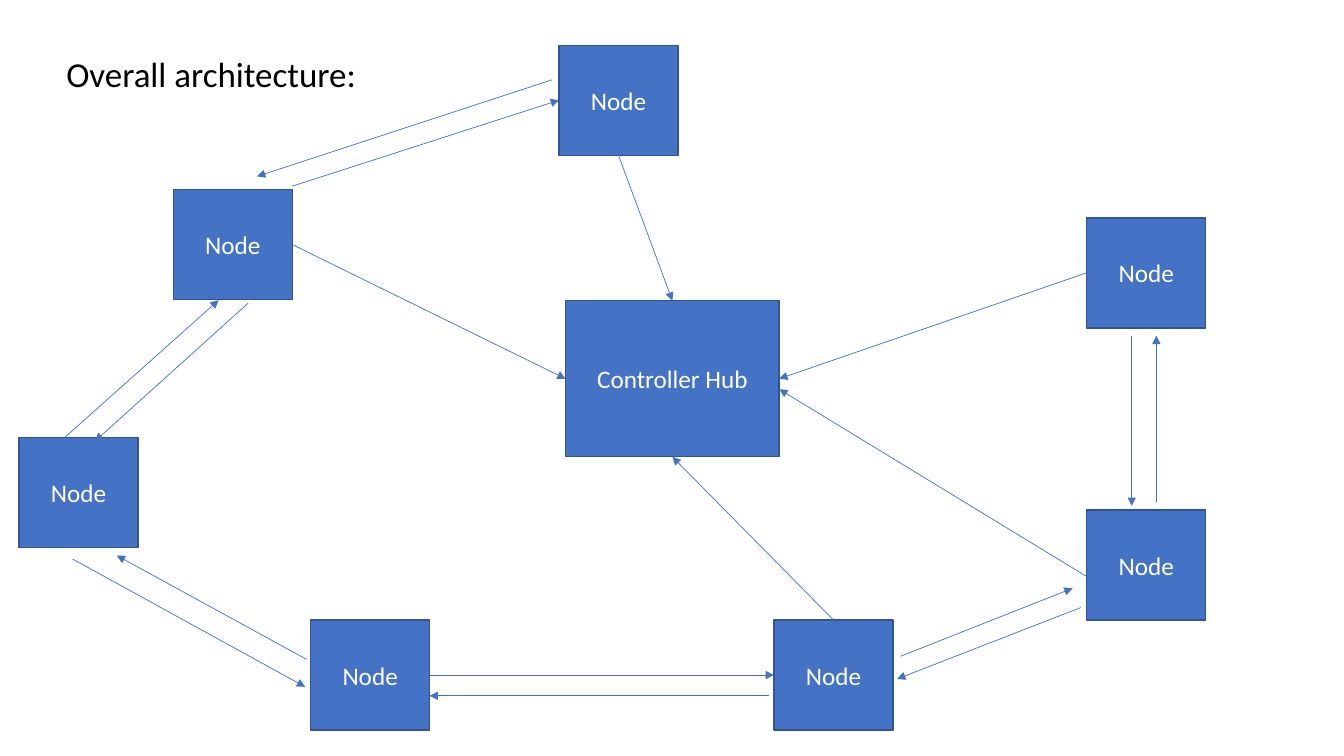
from dataclasses import dataclass
from typing import Any, Union

from lxml import etree
from pptx import Presentation
from pptx import util as u
from pptx.dml import color
from pptx.enum import shapes, text
from pptx.oxml import ns


@dataclass(frozen=True)
class Theme:
    font: str = "Calibri"
    fill: str = "4472C4"
    border: str = "325491"
    title_ink: str = "000000"
    box_ink: str = "FFFFFF"
    title_size: float = 25
    box_size: float = 18
    border_width: float = 1
    arrow_width: float = 0.5


@dataclass(frozen=True)
class Box:
    name: str
    x: float
    y: float
    label: str = "Node"
    w: float = 85
    h: float = 78.6


@dataclass(frozen=True)
class Point:
    x: float
    y: float


@dataclass(frozen=True)
class Side:
    box: str
    site: int


@dataclass(frozen=True)
class Arrow:
    start: Union[Point, Side]
    end: Union[Point, Side]


THEME = Theme()
TOP, LEFT, BOTTOM, RIGHT = range(4)

BOXES = [
    Box("hub", 404, 214.8, "Controller Hub", 152.6, 111.5),
    Box("east", 776.2, 155.6),
    Box("southeast", 776.2, 364.4),
    Box("south", 552.9, 442.9),
    Box("southwest", 221.9, 442.9),
    Box("west", 13.6, 312.4),
    Box("northwest", 123.8, 135.4),
    Box("north", 399.3, 32.3),
]

ARROWS = [
    Arrow(Point(46.4, 312.4), Point(156.2, 214.4)),
    Arrow(Point(52, 399.4), Point(218, 490.6)),
    Arrow(Side("northwest", RIGHT), Side("hub", LEFT)),
    Arrow(Point(208.8, 133), Side("north", LEFT)),
    Arrow(Side("north", BOTTOM), Side("hub", TOP)),
    Arrow(Side("southwest", RIGHT), Side("south", LEFT)),
    Arrow(Side("south", TOP), Side("hub", BOTTOM)),
    Arrow(Point(776.2, 411.8), Point(556.6, 278)),
    Arrow(Side("east", LEFT), Side("hub", RIGHT)),
    Arrow(Point(177.2, 216.6), Point(67.8, 315.2)),
    Arrow(Point(219, 471), Point(83.4, 396.8)),
    Arrow(Point(549.4, 497), Point(306.8, 497)),
    Arrow(Point(394.4, 57), Point(183.6, 126)),
    Arrow(Point(808.4, 239.8), Point(808.4, 361.4)),
    Arrow(Point(826, 358.6), Point(826, 239.8)),
    Arrow(Point(643.2, 468.8), Point(766.2, 420.2)),
    Arrow(Point(772, 434), Point(640.8, 485)),
]


def rgb(value: str) -> color.RGBColor:
    return color.RGBColor.from_string(value)


def apply(target: Any, values: dict[str, Any]) -> None:
    for name, value in values.items():
        setattr(target, name, value)


def write(sp: Any, words: str, size: float, ink: str,
          frame: dict[str, Any], align: text.PP_ALIGN) -> None:
    tf = sp.text_frame
    apply(tf, frame)
    p = tf.paragraphs[0]
    p.alignment = align
    r = p.add_run()
    r.text = words
    apply(r.font, {"name": THEME.font, "size": u.Pt(size)})
    r.font.color.rgb = rgb(ink)


def draw_title(s: Any) -> None:
    sp = s.shapes.add_textbox(u.Pt(40.3), u.Pt(33.8), u.Pt(224), u.Pt(37.4))
    frame = {"word_wrap": False, "auto_size": text.MSO_AUTO_SIZE.SHAPE_TO_FIT_TEXT}
    write(sp, "Overall architecture:", THEME.title_size, THEME.title_ink,
          frame, text.PP_ALIGN.LEFT)


def draw_box(s: Any, box: Box) -> Any:
    sp = s.shapes.add_shape(shapes.MSO_SHAPE.RECTANGLE, u.Pt(box.x), u.Pt(box.y),
                            u.Pt(box.w), u.Pt(box.h))
    sp.shadow.inherit = False
    sp.fill.solid()
    sp.fill.fore_color.rgb = rgb(THEME.fill)
    sp.line.color.rgb = rgb(THEME.border)
    sp.line.width = u.Pt(THEME.border_width)
    frame = {"word_wrap": True, "vertical_anchor": text.MSO_ANCHOR.MIDDLE}
    write(sp, box.label, THEME.box_size, THEME.box_ink, frame, text.PP_ALIGN.CENTER)
    return sp


def locate(end: Union[Point, Side], boxes: dict[str, Box]) -> Point:
    if isinstance(end, Point):
        return end
    box = boxes[end.box]
    dx, dy = [(0.5, 0), (0, 0.5), (0.5, 1), (1, 0.5)][end.site]
    return Point(box.x + dx * box.w, box.y + dy * box.h)


def draw_arrow(s: Any, arrow: Arrow, boxes: dict[str, Box], drawn: dict[str, Any]) -> None:
    a, b = locate(arrow.start, boxes), locate(arrow.end, boxes)
    cxn = s.shapes.add_connector(shapes.MSO_CONNECTOR.STRAIGHT,
                                 u.Pt(a.x), u.Pt(a.y), u.Pt(b.x), u.Pt(b.y))
    for end, connect in ((arrow.start, cxn.begin_connect), (arrow.end, cxn.end_connect)):
        if isinstance(end, Side):
            connect(drawn[end.box], end.site)
    cxn.line.color.rgb = rgb(THEME.fill)
    cxn.line.width = u.Pt(THEME.arrow_width)
    sp_pr = cxn._element.spPr
    etree.SubElement(sp_pr.find(ns.qn("a:ln")), ns.qn("a:tailEnd"), type="triangle")
    etree.SubElement(sp_pr, ns.qn("a:effectLst"))


def main() -> None:
    prs = Presentation()
    apply(prs, {"slide_width": u.Pt(960), "slide_height": u.Pt(540)})
    s = prs.slides.add_slide(prs.slide_layouts[6])
    draw_title(s)
    boxes = {box.name: box for box in BOXES}
    drawn = {box.name: draw_box(s, box) for box in BOXES}
    for arrow in ARROWS:
        draw_arrow(s, arrow, boxes, drawn)
    prs.save("out.pptx")


if __name__ == "__main__":
    main()
